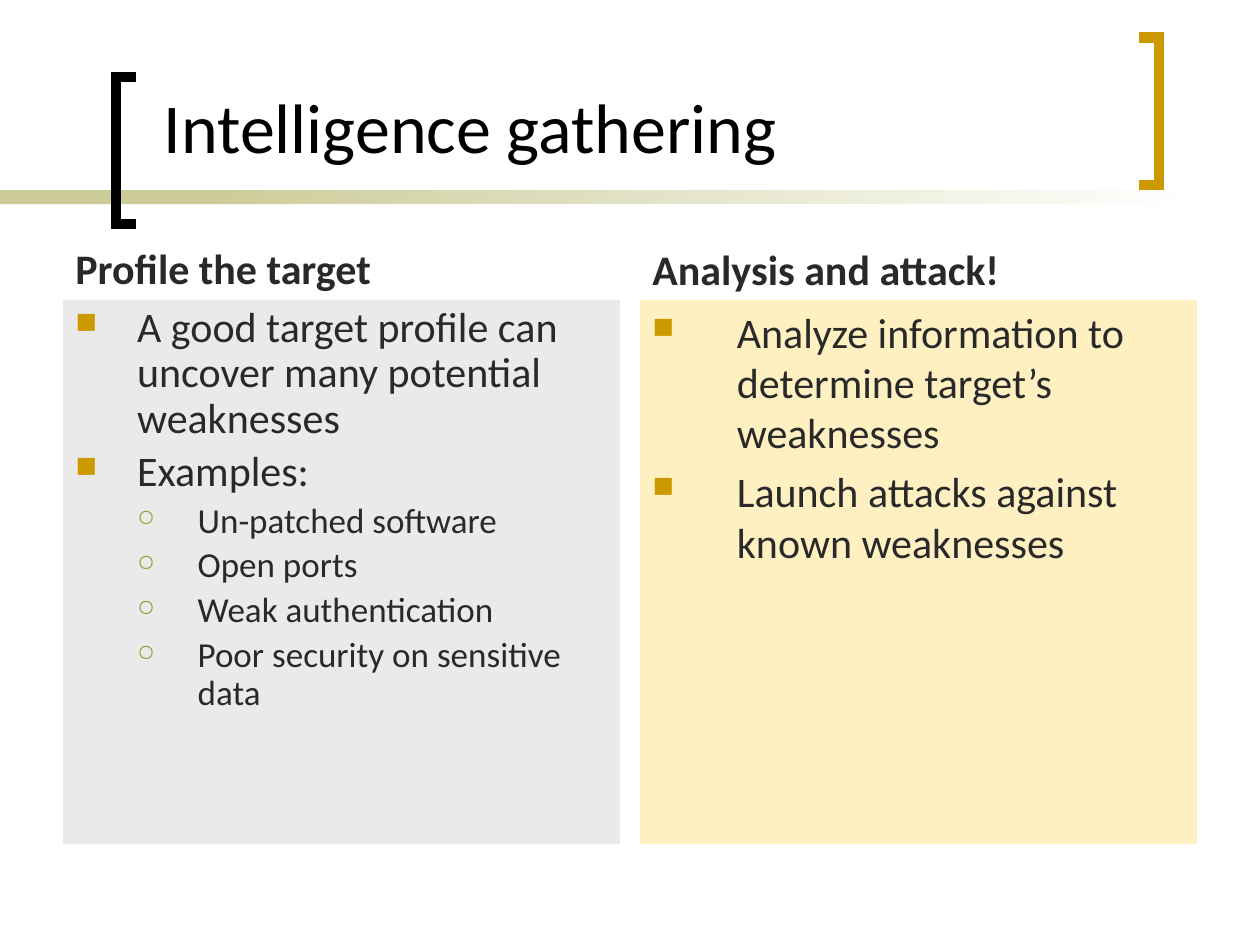
from lxml.etree import SubElement
from pptx import Presentation
from pptx.dml.color import RGBColor
from pptx.enum.shapes import MSO_SHAPE
from pptx.enum.text import MSO_ANCHOR, MSO_AUTO_SIZE, PP_ALIGN
from pptx.oxml.ns import qn
from pptx.util import Inches, Pt

# Content
TITLE = "Intelligence gathering"
COLUMNS = [
    {"heading": "Profile the target", "fill": "EAEAEA", "line_spacing": 0.9,
     "indents": [0.49, 0.48],
     "items": [
         (0, "A good target profile can uncover many potential weaknesses"),
         (0, "Examples:"),
         (1, "Un-patched software"),
         (1, "Open ports"),
         (1, "Weak authentication"),
         (1, "Poor security on sensitive data"),
     ]},
    {"heading": "Analysis and attack!", "fill": "FFF0C2", "line_spacing": 1.0,
     "indents": [0.67],
     "items": [
         (0, "Analyze information to determine target’s weaknesses"),
         (0, "Launch attacks against known weaknesses"),
     ]},
]

# Style
FONT = "Calibri"
BLACK, TEXT, GOLD, SAND, WHITE = "000000", "292929", "CC9900", "CCCC99", "FFFFFF"
LEVELS = [  # text size, bullet, bullet colour, bullet size in percent
    (24, "■", GOLD, 70),
    (20, "○", "999933", 65),
]

# Layout in inches
MARGIN, COLUMN_WIDTH, COLUMN_STEP = 0.5, 4.42, 4.58
HEADING_TOP, HEADING_HEIGHT, BODY_HEIGHT = 1.68, 0.7, 4.32
BAR_TOP, BAR_HEIGHT = 1.51, 0.11
BRACKET_WIDTH, BRACKET_HEIGHT = 0.16, 1.17


def rgb(value):
    return RGBColor.from_string(value)


def box(left, top, width, height):
    return [Inches(value) for value in (left, top, width, height)]


def add_rectangle(slide, *place):
    shape = slide.shapes.add_shape(MSO_SHAPE.RECTANGLE, *box(*place))
    shape.shadow.inherit = False
    shape.line.fill.background()
    return shape


def add_bracket(slide, tip, spine, top, color):
    bottom = top + BRACKET_HEIGHT
    points = [(Inches(x), Inches(y)) for x, y in
              [(tip, top), (spine, top), (spine, bottom), (tip, bottom)]]
    builder = slide.shapes.build_freeform(*points[0])
    builder.add_line_segments(points[1:], close=False)
    shape = builder.convert_to_shape()
    shape.shadow.inherit = False
    shape.fill.background()
    shape.line.color.rgb = rgb(color)
    shape.line.width = Pt(6)
    SubElement(shape.line._get_or_add_ln(), qn("a:miter"), lim="800000")


def style_frame(frame, anchor):
    frame.word_wrap = True
    frame.auto_size = MSO_AUTO_SIZE.NONE
    frame.vertical_anchor = anchor


def write(paragraph, text, size, color=TEXT, bold=False, line_spacing=1.0):
    paragraph.text = text
    paragraph.alignment = PP_ALIGN.LEFT
    paragraph.line_spacing = line_spacing
    font = paragraph.runs[0].font
    font.name, font.size, font.bold = FONT, Pt(size), bold
    font.color.rgb = rgb(color)


def add_bullet(paragraph, left, hanging, character, color, percent):
    properties = paragraph._p.get_or_add_pPr()
    properties.set("marL", str(Inches(left)))
    properties.set("indent", str(-Inches(hanging)))
    bullet_color = SubElement(properties, qn("a:buClr"))
    SubElement(bullet_color, qn("a:srgbClr"), val=color)
    SubElement(properties, qn("a:buSzPct"), val=str(percent * 1000))
    SubElement(properties, qn("a:buChar"), char=character)


def add_column(slide, left, column):
    spacing = column["line_spacing"]
    heading = slide.shapes.add_textbox(
        *box(left, HEADING_TOP, COLUMN_WIDTH, HEADING_HEIGHT)).text_frame
    style_frame(heading, MSO_ANCHOR.BOTTOM)
    write(heading.paragraphs[0], column["heading"], 24, bold=True, line_spacing=spacing)

    panel = add_rectangle(slide, left, HEADING_TOP + HEADING_HEIGHT,
                          COLUMN_WIDTH, BODY_HEIGHT)
    panel.fill.solid()
    panel.fill.fore_color.rgb = rgb(column["fill"])
    frame = panel.text_frame
    style_frame(frame, MSO_ANCHOR.TOP)
    for index, (level, text) in enumerate(column["items"]):
        paragraph = frame.add_paragraph() if index else frame.paragraphs[0]
        size, *bullet = LEVELS[level]
        write(paragraph, text, size, line_spacing=spacing)
        paragraph.level = level
        paragraph.space_before = Pt(size * 0.2)
        indents = column["indents"]
        add_bullet(paragraph, sum(indents[:level + 1]), indents[level], *bullet)


def main():
    presentation = Presentation()
    presentation.slide_width, presentation.slide_height = Inches(10), Inches(7.5)
    slide = presentation.slides.add_slide(presentation.slide_layouts[5])

    # Fading bar and brackets
    bar = add_rectangle(slide, 0, BAR_TOP, 2.33, BAR_HEIGHT)
    bar.fill.solid()
    bar.fill.fore_color.rgb = rgb(SAND)
    fade = add_rectangle(slide, 1.58, BAR_TOP, 7.92, BAR_HEIGHT)
    fade.fill.gradient()
    fade.fill.gradient_angle = 0
    for stop, color in zip(fade.fill.gradient_stops, (SAND, WHITE)):
        stop.color.rgb = rgb(color)
    add_bracket(slide, 0.92 + BRACKET_WIDTH, 0.92, 0.61, BLACK)
    add_bracket(slide, 9.04, 9.04 + BRACKET_WIDTH, 0.3, GOLD)

    # Title, in front of the decoration
    title = slide.shapes.title
    title.left, title.top, title.width, title.height = box(1.2, 0.29, 7.82, 1.09)
    style_frame(title.text_frame, MSO_ANCHOR.BOTTOM)
    write(title.text_frame.paragraphs[0], TITLE, 40, BLACK)
    slide.shapes._spTree.append(title._element)

    # Two columns
    for index, column in enumerate(COLUMNS):
        add_column(slide, MARGIN + index * COLUMN_STEP, column)

    presentation.save("out.pptx")


if __name__ == "__main__":
    main()
